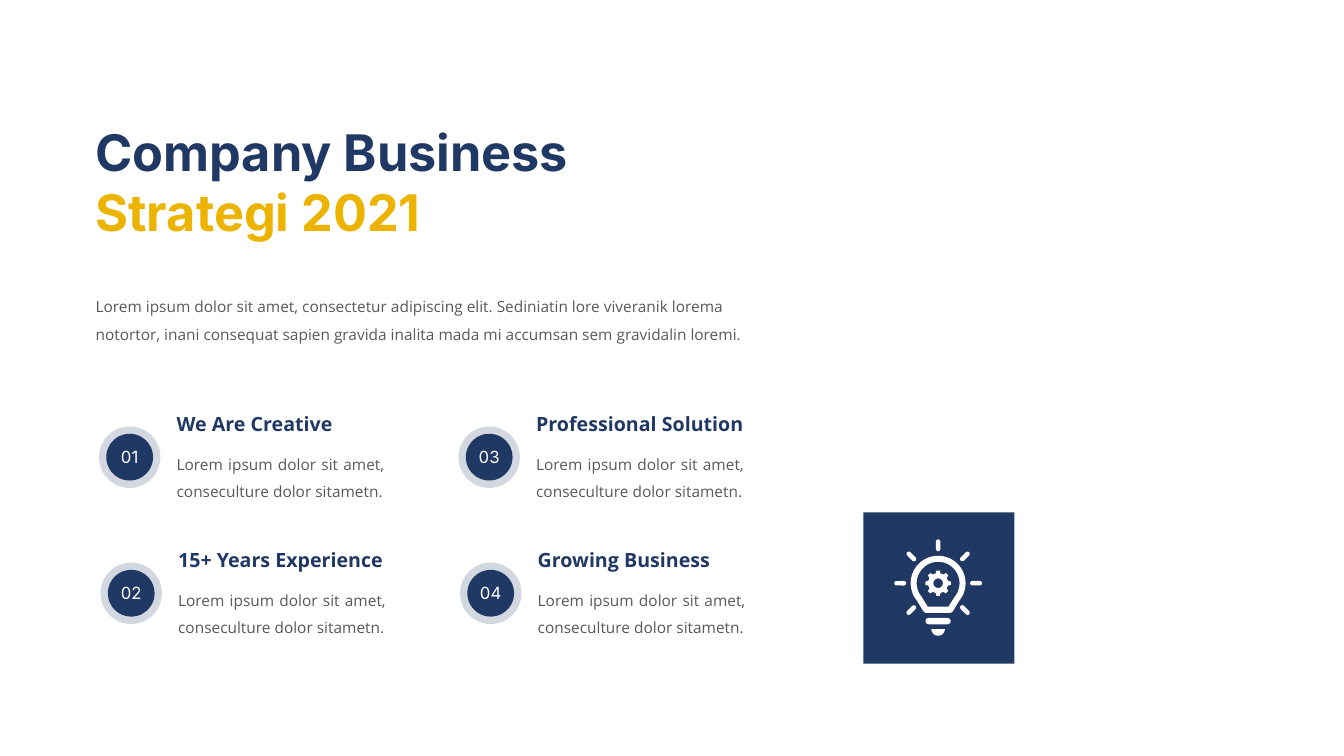
from dataclasses import dataclass
from math import cos, radians, sin

from lxml.etree import SubElement
from pptx import Presentation
from pptx.dml.color import RGBColor
from pptx.enum.shapes import MSO_SHAPE
from pptx.enum.text import MSO_AUTO_SIZE, PP_ALIGN
from pptx.oxml.ns import qn
from pptx.util import Pt


@dataclass(frozen=True)
class Theme:
    navy: RGBColor = RGBColor(0x20, 0x38, 0x64)
    gold: RGBColor = RGBColor(0xEC, 0xB4, 0x00)
    gray: RGBColor = RGBColor(0x59, 0x59, 0x59)
    white: RGBColor = RGBColor(0xFF, 0xFF, 0xFF)
    display_font: str = "Inter"
    text_font: str = "Open Sans"
    title_size: float = 36
    heading_size: float = 14
    number_size: float = 12
    body_size: float = 11


@dataclass(frozen=True)
class Point:
    x: float
    y: float


@dataclass(frozen=True)
class Box:
    left: float
    top: float
    width: float
    height: float


@dataclass(frozen=True)
class Feature:
    number: str
    heading: str
    column: int
    row: int


THEME = Theme()
FEATURES = [
    Feature("01", "We Are Creative", 0, 0),
    Feature("03", "Professional Solution", 1, 0),
    Feature("02", "15+ Years Experience", 0, 1),
    Feature("04", "Growing Business", 1, 1),
]
FEATURE_BODY = "Lorem ipsum dolor sit amet, conseculture dolor sitametn."
INTRODUCTION = (
    "Lorem ipsum dolor sit amet, consectetur adipiscing elit. Sediniatin lore viveranik lorema "
    "notortor, inani consequat sapien gravida inalita mada mi accumsan sem gravidalin loremi."
)
FIRST_RING = Point(70.7, 304.6)
COLUMN_PITCH = 256.8
ROW_PITCH = 97.2
ROW_SHIFT = 1.1
RING_SIZE = 43.9
DISC_SIZE = 33.4
BULB_CENTER = Point(670.1, 416.6)
RAY_ANGLES = range(-225, 46, 45)


def add_text(shapes, box: Box, text: str, *, size: float, color: RGBColor,
             font: str = THEME.text_font, bold: bool = False, wrap: bool = True,
             align: PP_ALIGN = PP_ALIGN.LEFT, spacing: float = 1.0):
    frame = shapes.add_textbox(Pt(box.left), Pt(box.top), Pt(box.width), Pt(box.height)).text_frame
    frame.word_wrap = wrap
    frame.auto_size = MSO_AUTO_SIZE.SHAPE_TO_FIT_TEXT
    para = frame.paragraphs[0]
    para.alignment = align
    para.line_spacing = spacing
    add_span(para, text, size=size, color=color, font=font, bold=bold)
    return para


def add_span(para, text: str, *, size: float, color: RGBColor, font: str, bold: bool) -> None:
    span = para.add_run()
    span.text = text
    span.font.size = Pt(size)
    span.font.name = font
    span.font.bold = bold
    span.font.color.rgb = color


def paint(shape, color: RGBColor) -> None:
    shape.shadow.inherit = False
    shape.fill.solid()
    shape.fill.fore_color.rgb = color
    shape.line.fill.background()


def add_solid(shapes, kind: MSO_SHAPE, box: Box, color: RGBColor, *, rotation: float = 0):
    shape = shapes.add_shape(kind, Pt(box.left), Pt(box.top), Pt(box.width), Pt(box.height))
    paint(shape, color)
    shape.rotation = rotation
    if kind == MSO_SHAPE.ROUNDED_RECTANGLE:
        shape.adjustments[0] = 0.5
    return shape


def set_opacity(shape, percent: int) -> None:
    color = shape.fill._xPr.find(qn("a:solidFill"))[0]
    SubElement(color, qn("a:alpha")).set("val", str(percent * 1000))


def polar(center: Point, radius: float, angle: float) -> Point:
    return Point(center.x + radius * cos(radians(angle)), center.y + radius * sin(radians(angle)))


def arc(center: Point, radius: float, start: int, end: int) -> list[Point]:
    return [polar(center, radius, angle) for angle in range(start, end + 1, 5)]


def add_outline(shapes, contours: list[list[Point]], color: RGBColor) -> None:
    first = contours[0][0]
    builder = shapes.build_freeform(Pt(first.x), Pt(first.y))
    for index, contour in enumerate(contours):
        if index:
            builder.move_to(Pt(contour[0].x), Pt(contour[0].y))
        builder.add_line_segments([(Pt(point.x), Pt(point.y)) for point in contour[1:]], close=True)
    paint(builder.convert_to_shape(), color)


def bulb_contour(radius: float, neck: list[Point]) -> list[Point]:
    center = BULB_CENTER
    right = [Point(center.x + point.x, center.y + point.y) for point in neck]
    left = [Point(center.x - point.x, center.y + point.y) for point in reversed(neck)]
    return arc(center, radius, -220, 40) + right + left


def gear_contour() -> list[Point]:
    corners = [(-14, 7.2), (-7.5, 9.1), (7.5, 9.1), (14, 7.2)]
    return [polar(BULB_CENTER, radius, tooth + offset)
            for tooth in range(0, 360, 45) for offset, radius in corners]


def add_bulb_icon(slide) -> None:
    shapes = slide.shapes.add_group_shape().shapes
    center = BULB_CENTER
    add_solid(shapes, MSO_SHAPE.RECTANGLE, Box(616.7, 366, 108, 108), THEME.navy)
    add_outline(shapes, [gear_contour(), arc(center, 3.4, 0, 355)], THEME.white)
    add_solid(shapes, MSO_SHAPE.ROUNDED_RECTANGLE, Box(center.x - 9, 441.4, 18, 4.5), THEME.white)
    add_outline(shapes, [arc(Point(center.x, 449.3), 4.8, 0, 180)], THEME.white)
    outer = bulb_contour(19.6, [Point(10.6, 20), Point(9, 21.2)])
    inner = bulb_contour(15.3, [Point(7.4, 16.8)])
    add_outline(shapes, [outer, inner], THEME.white)
    for angle in RAY_ANGLES:
        middle = polar(center, 27.1, angle)
        box = Box(middle.x - 4.25, middle.y - 1.6, 8.5, 3.2)
        add_solid(shapes, MSO_SHAPE.ROUNDED_RECTANGLE, box, THEME.white, rotation=angle)


def add_feature(slide, feature: Feature) -> None:
    left = FIRST_RING.x + feature.column * COLUMN_PITCH + feature.row * ROW_SHIFT
    top = FIRST_RING.y + feature.row * ROW_PITCH
    inset = (RING_SIZE - DISC_SIZE) / 2
    add_text(slide.shapes, Box(left + 48.4, top + 10.1, 162.7, 45.4), FEATURE_BODY,
             size=THEME.body_size, color=THEME.gray, align=PP_ALIGN.JUSTIFY, spacing=1.5)
    add_text(slide.shapes, Box(left + 48.4, top - 13.7, 162.7, 24.5), feature.heading,
             size=THEME.heading_size, color=THEME.navy, bold=True)
    badge = slide.shapes.add_group_shape().shapes
    ring = add_solid(badge, MSO_SHAPE.ROUNDED_RECTANGLE, Box(left, top, RING_SIZE, RING_SIZE), THEME.navy)
    set_opacity(ring, 20)
    add_solid(badge, MSO_SHAPE.OVAL, Box(left + inset, top + inset, DISC_SIZE, DISC_SIZE), THEME.navy)
    add_text(badge, Box(left + RING_SIZE / 2 - 15, top + 10.8, 30, 21.6), feature.number,
             size=THEME.number_size, color=THEME.white, font=THEME.display_font,
             wrap=False, align=PP_ALIGN.CENTER)


def main() -> None:
    deck = Presentation()
    deck.slide_width, deck.slide_height = Pt(960), Pt(540)
    page = deck.slides.add_slide(deck.slide_layouts[6])
    add_bulb_icon(page)
    title = add_text(page.shapes, Box(61.2, 82.8, 374.4, 94.3), "Company Business ",
                     size=THEME.title_size, color=THEME.navy, font=THEME.display_font, bold=True)
    add_span(title, "Strategi 2021", size=THEME.title_size, color=THEME.gold,
             font=THEME.display_font, bold=True)
    add_text(page.shapes, Box(61.2, 202.3, 477.4, 45.4), INTRODUCTION,
             size=THEME.body_size, color=THEME.gray, spacing=1.5)
    for feature in FEATURES:
        add_feature(page, feature)
    deck.save("out.pptx")


if __name__ == "__main__":
    main()
